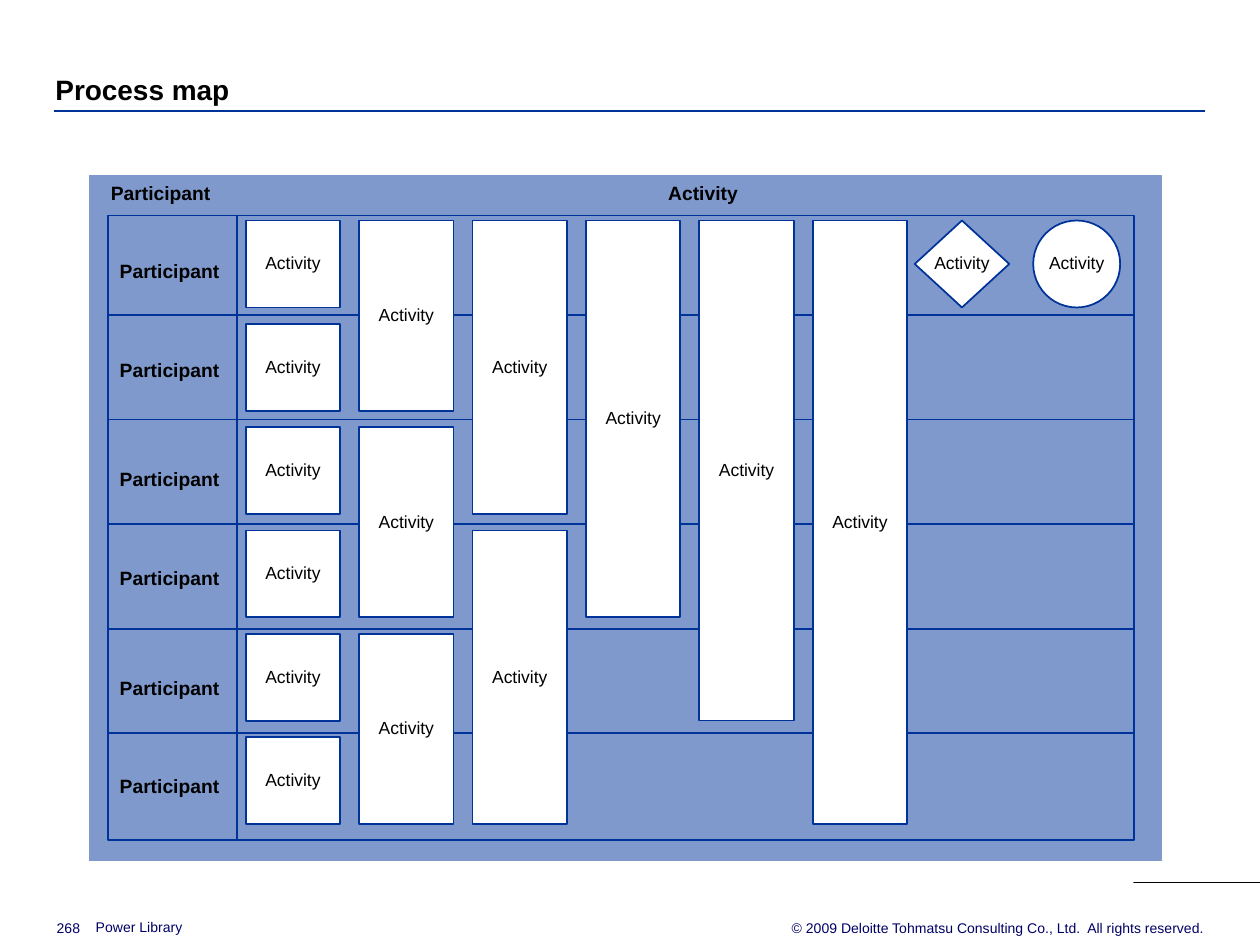
from lxml import etree
from pptx import Presentation, util as u
from pptx.dml.color import RGBColor
from pptx.enum import shapes, text
from pptx.oxml.ns import qn

NAVY, STEEL, WHITE, BLACK, INK = "003399", "8099CC", "FFFFFF", "000000", "000066"
FRAME = (0.86, 1.71, 8.14, 4.96)
LEFT, TOP, WIDTH, HEIGHT = 1.95, 1.75, 0.75, 0.69
COLUMN_STEP, ROW_STEP = 0.9, 0.82
LANE_TOP, LANE_STEP = 2.5, 0.83
LABEL_TOPS = (2.07, 2.86, 3.72, 4.51, 5.38, 6.16)
HOUSE = (
    ((9.43, 6.74), (9.8, 6.74), (9.8, 7.14), (9.43, 7.14)),
    ((9.46, 6.77), (9.77, 6.77), (9.77, 7.11), (9.46, 7.11)),
    ((9.43, 6.74), (9.46, 6.77)),
    ((9.8, 6.74), (9.77, 6.77)),
    ((9.8, 7.14), (9.77, 7.11)),
    ((9.43, 7.14), (9.46, 7.11)),
    ((9.62, 6.82), (9.66, 6.87), (9.66, 6.84), (9.69, 6.84), (9.69, 6.9),
     (9.73, 6.94), (9.5, 6.94)),
    ((9.66, 6.87), (9.69, 6.9)),
    ((9.53, 6.94), (9.71, 6.94), (9.71, 7.06), (9.53, 7.06)),
    ((9.6, 7.06), (9.6, 7), (9.63, 7), (9.63, 7.06)),
)


def color(value):
    """Turn a hex string into a colour."""
    return RGBColor.from_string(value)


def inches(*values):
    """Turn numbers into lengths."""
    return [u.Inches(value) for value in values]


def write(box, words, size, ink=BLACK, bold=False, align="LEFT", anchor="TOP",
          spacing=None, insets=(0, 0), wrap=True):
    """Put one formatted paragraph into a shape."""
    frame = box.text_frame
    frame.word_wrap = wrap
    frame.vertical_anchor = getattr(text.MSO_ANCHOR, anchor)
    frame.margin_left = frame.margin_right = u.Inches(insets[0])
    frame.margin_top = frame.margin_bottom = u.Inches(insets[1])
    para = frame.paragraphs[0]
    para.text = words
    para.alignment = getattr(text.PP_ALIGN, align)
    para.line_spacing = spacing
    font = para.font
    font.name, font.size, font.bold = "Arial", u.Pt(size), bold
    font.color.rgb = color(ink)


def add_label(page, bounds, words, size, **style):
    """Add a text box."""
    box = page.shapes.add_textbox(*inches(*bounds))
    write(box, words, size, **style)


def add_line(page, start, end, width=1):
    """Add a straight line without shadow."""
    line = page.shapes.add_connector(
        shapes.MSO_CONNECTOR.STRAIGHT, *inches(*start, *end))
    line.line.color.rgb = color(NAVY)
    line.line.width = u.Pt(width)
    etree.SubElement(line._element.spPr, qn("a:effectLst"))


def add_box(page, bounds, fill=None, outline=NAVY, kind="RECTANGLE"):
    """Add an outlined preset shape."""
    box = page.shapes.add_shape(
        getattr(shapes.MSO_SHAPE, kind), *inches(*bounds))
    box.shadow.inherit = False
    if fill:
        box.fill.solid()
        box.fill.fore_color.rgb = color(fill)
    else:
        box.fill.background()
    box.line.color.rgb = color(outline)
    box.line.width = u.Pt(1)
    return box


def add_activity(page, bounds, kind="RECTANGLE", side=0.02, wrap=True):
    """Add a white activity shape."""
    box = add_box(page, bounds, WHITE, kind=kind)
    write(box, "Activity", 10, align="CENTER", anchor="MIDDLE", spacing=0.95,
          insets=(side, 0.05), wrap=wrap)


def add_activities(page):
    """Fill each column with activities that span one row more than the last."""
    for column in range(6):
        span = column + 1
        for row in range(0, 7 - span, span):
            add_activity(page, (LEFT + column * COLUMN_STEP, TOP + row * ROW_STEP,
                                WIDTH, HEIGHT + column * ROW_STEP))
    add_activity(page, (7.26, TOP, WIDTH, HEIGHT), "DIAMOND", wrap=False)
    add_activity(page, (8.2, TOP, HEIGHT, HEIGHT), "OVAL", side=0)


def add_lanes(page):
    """Add the panel with its headings, lane lines and lane labels."""
    left, top, width, height = FRAME
    heading = dict(bold=True, spacing=0.95)
    add_box(page, (0.71, 1.4, 8.51, 5.43), STEEL, STEEL)
    add_label(page, (2.01, 1.45, 7.14, 0.17), "Activity", 11, align="CENTER", **heading)
    add_label(page, (0.88, 1.45, 1, 0.17), "Participant", 11, **heading)
    for lane in range(5):
        y = LANE_TOP + lane * LANE_STEP
        add_line(page, (left, y), (left + width, y))
    add_line(page, (1.88, top), (1.88, top + height))
    for y in LABEL_TOPS:
        add_label(page, (0.95, y, 0.85, 0.17), "Participant", 11, **heading)


def add_house(page):
    """Draw the framed house icon as one outline."""
    pen = page.shapes.build_freeform(*HOUSE[0][0], scale=u.Inches(1))
    for number, points in enumerate(HOUSE):
        if number:
            pen.move_to(*points[0])
        pen.add_line_segments(points[1:], close=len(points) > 2)
    house = pen.convert_to_shape()
    house.shadow.inherit = False
    house.fill.background()
    house.line.color.rgb = color(BLACK)
    house.line.width = u.Pt(0.5)


def add_title(page, words):
    """Place and format the title above its rule."""
    title = page.shapes.title
    title.left, title.top, title.width, title.height = inches(0.44, 0.56, 9.13, 0.28)
    write(title, words, 16, bold=True, anchor="BOTTOM", spacing=1.06)
    add_line(page, (0.43, 0.88), (9.56, 0.88), 1.5)


def add_footer(page):
    """Add the page number, the library name and the copyright line."""
    add_label(page, (0.45, 7.3, 0.32, 0.13), "268", 8, ink=INK, anchor="BOTTOM")
    add_label(page, (0.76, 7.29, 4.42, 0.13), "Power Library", 8, ink=INK, anchor="BOTTOM")
    add_label(page, (5.76, 7.3, 3.8, 0.13),
              "© 2009 Deloitte Tohmatsu Consulting Co., Ltd.  All rights reserved.",
              8, ink=INK, align="RIGHT")


def main():
    """Build the process map slide."""
    deck = Presentation()
    deck.slide_width, deck.slide_height = inches(10, 7.5)
    page = deck.slides.add_slide(deck.slide_layouts[5])
    add_title(page, "Process map")
    add_house(page)
    add_footer(page)
    add_lanes(page)
    add_activities(page)
    add_box(page, FRAME)
    deck.save("out.pptx")


if __name__ == "__main__":
    main()
